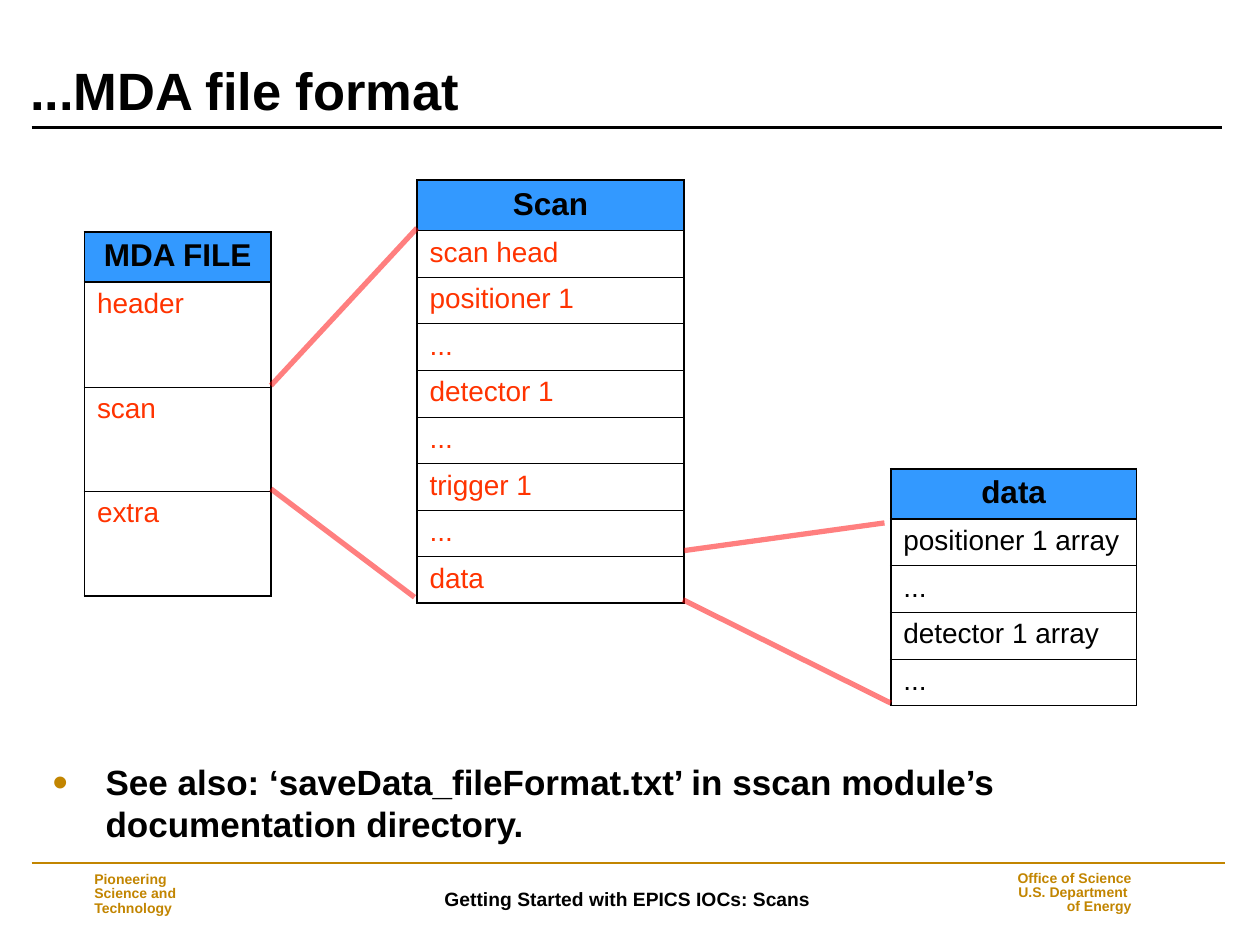
"""Build the MDA file format slide."""
from dataclasses import dataclass

from lxml.etree import SubElement
from pptx import Presentation
from pptx.dml.color import RGBColor
from pptx.enum.shapes import MSO_CONNECTOR
from pptx.enum.text import MSO_ANCHOR, PP_ALIGN
from pptx.oxml import parse_xml
from pptx.oxml.ns import nsdecls, qn
from pptx.util import Inches, Pt

BLACK, GOLD, RED, ORANGE, BLUE = "000000", "C28500", "FF0000", "FF3300", "3399FF"
OUTER, INNER = 1.08, 0.45


@dataclass
class Block:
    left: float
    top: float
    width: float
    title: str
    rows: list[str]
    row_height: float
    color: str
    rule: float


@dataclass
class Line:
    x1: float
    y1: float
    x2: float
    y2: float
    color: str = RED
    weight: float = 3
    alpha: int = 50


@dataclass
class Label:
    left: float
    top: float
    width: float
    height: float
    text: str
    size: float
    color: str = BLACK
    align: PP_ALIGN = PP_ALIGN.LEFT
    anchor: MSO_ANCHOR = MSO_ANCHOR.MIDDLE
    spacing: float = 1.0
    inset_top: float = 0.05


BLOCKS = [
    Block(0.67, 1.84, 1.48, "MDA FILE", ["header", "scan", "extra"], 0.83, ORANGE, 1.47),
    Block(3.31, 1.43, 2.12, "Scan",
          ["scan head", "positioner 1", "...", "detector 1", "...", "trigger 1", "...", "data"],
          0.37, ORANGE, INNER),
    Block(7.07, 3.72, 1.95, "data",
          ["positioner 1 array", "...", "detector 1 array", "..."], 0.37, BLACK, 1.47),
]
RULES = [
    Line(0.25, 6.85, 9.72, 6.85, GOLD, 1, 100),
    Line(0.25, 1.01, 9.7, 1.01, BLACK, 1.5, 100),
]
LINKS = [
    Line(2.15, 3.06, 3.31, 1.81),
    Line(2.15, 3.88, 3.29, 4.74),
    Line(5.43, 4.37, 7.02, 4.15),
    Line(5.42, 4.76, 7.07, 5.58),
]
LABELS = [
    Label(2.02, 6.89, 5.92, 0.48, "Getting Started with EPICS IOCs: Scans", 11,
          align=PP_ALIGN.CENTER),
    Label(0.65, 6.88, 1.46, 0.44, "Pioneering\vScience and\vTechnology", 8, GOLD, spacing=0.85),
    Label(7.84, 6.87, 1.24, 0.44, "Office of Science\nU.S. Department \nof Energy", 8, GOLD,
          PP_ALIGN.RIGHT, spacing=0.85),
    Label(0.14, 0.52, 9.58, 0.5, "...MDA file format", 30,
          anchor=MSO_ANCHOR.BOTTOM, spacing=0.9, inset_top=0),
]
NOTE = Label(0.32, 5.99, 9.36, 0.77,
             "See also: ‘saveData_fileFormat.txt’ in sscan module’s documentation directory.",
             20, anchor=MSO_ANCHOR.TOP)


def rgb(color: str) -> RGBColor:
    """Turn a hex string into a colour."""
    return RGBColor.from_string(color)


def style_text(p, size: float, color: str, bold: bool, align: PP_ALIGN) -> None:
    """Format a paragraph and its runs."""
    p.alignment = align
    for r in p.runs:
        r.font.name = "Arial"
        r.font.size = Pt(size)
        r.font.bold = bold
        r.font.color.rgb = rgb(color)


def add_label(s, label: Label):
    """Add a wrapped bold text box and return its text frame."""
    sp = s.shapes.add_textbox(Inches(label.left), Inches(label.top),
                              Inches(label.width), Inches(label.height))
    tf = sp.text_frame
    tf.word_wrap = True
    tf.vertical_anchor = label.anchor
    tf.margin_top = Inches(label.inset_top)
    tf.text = label.text
    for p in tf.paragraphs:
        p.line_spacing = label.spacing
        style_text(p, label.size, label.color, True, label.align)
    return tf


def add_bullet(p) -> None:
    """Give a paragraph a gold hanging bullet."""
    pPr = p._p.get_or_add_pPr()
    pPr.set("marL", str(Inches(0.42)))
    pPr.set("indent", str(-Inches(0.42)))
    SubElement(SubElement(pPr, qn("a:buClr")), qn("a:srgbClr")).set("val", GOLD)
    SubElement(pPr, qn("a:buSzPct")).set("val", "125000")
    SubElement(pPr, qn("a:buFont")).set("typeface", "Arial")
    SubElement(pPr, qn("a:buChar")).set("char", "•")


def add_line(s, line: Line) -> None:
    """Draw a straight line with optional transparency."""
    sp = s.shapes.add_connector(MSO_CONNECTOR.STRAIGHT, Inches(line.x1), Inches(line.y1),
                                Inches(line.x2), Inches(line.y2))
    sp.line.color.rgb = rgb(line.color)
    sp.line.width = Pt(line.weight)
    if line.alpha < 100:
        clr = next(sp.line._ln.iter(qn("a:srgbClr")))
        SubElement(clr, qn("a:alpha")).set("val", str(line.alpha * 1000))
    SubElement(sp._element.spPr, qn("a:effectLst"))


def set_borders(cell, top: float, bottom: float) -> None:
    """Put black borders around a cell."""
    tcPr = cell._tc.get_or_add_tcPr()
    sides = {"L": OUTER, "R": OUTER, "T": top, "B": bottom}
    for i, (side, weight) in enumerate(sides.items()):
        tcPr.insert(i, parse_xml(
            f'<a:ln{side} {nsdecls("a")} w="{Pt(weight)}"><a:solidFill>'
            f'<a:srgbClr val="{BLACK}"/></a:solidFill></a:ln{side}>'))


def add_block(s, block: Block) -> None:
    """Draw a one-column table with a blue heading."""
    texts = [block.title, *block.rows]
    heights = [0.4] + [block.row_height] * len(block.rows)
    table = s.shapes.add_table(len(texts), 1, Inches(block.left), Inches(block.top),
                               Inches(block.width), Inches(sum(heights))).table
    table.first_row = table.horz_banding = False
    rules = [OUTER, block.rule] + [INNER] * (len(block.rows) - 1) + [OUTER]
    for i, (text, height) in enumerate(zip(texts, heights)):
        table.rows[i].height = Inches(height)
        cell = table.cell(i, 0)
        cell.text_frame.text = text
        p = cell.text_frame.paragraphs[0]
        if i == 0:
            cell.fill.solid()
            cell.fill.fore_color.rgb = rgb(BLUE)
            style_text(p, 18, BLACK, True, PP_ALIGN.CENTER)
        else:
            cell.fill.background()
            style_text(p, 16, block.color, False, PP_ALIGN.LEFT)
        set_borders(cell, rules[i], rules[i + 1])


def main() -> None:
    """Build and save the slide."""
    prs = Presentation()
    prs.slide_width, prs.slide_height = Inches(10), Inches(7.5)
    s = prs.slides.add_slide(prs.slide_layouts[6])
    for line in RULES:
        add_line(s, line)
    for label in LABELS:
        add_label(s, label)
    for block in BLOCKS:
        add_block(s, block)
    for link in LINKS:
        add_line(s, link)
    add_bullet(add_label(s, NOTE).paragraphs[0])
    prs.save("out.pptx")


if __name__ == "__main__":
    main()
